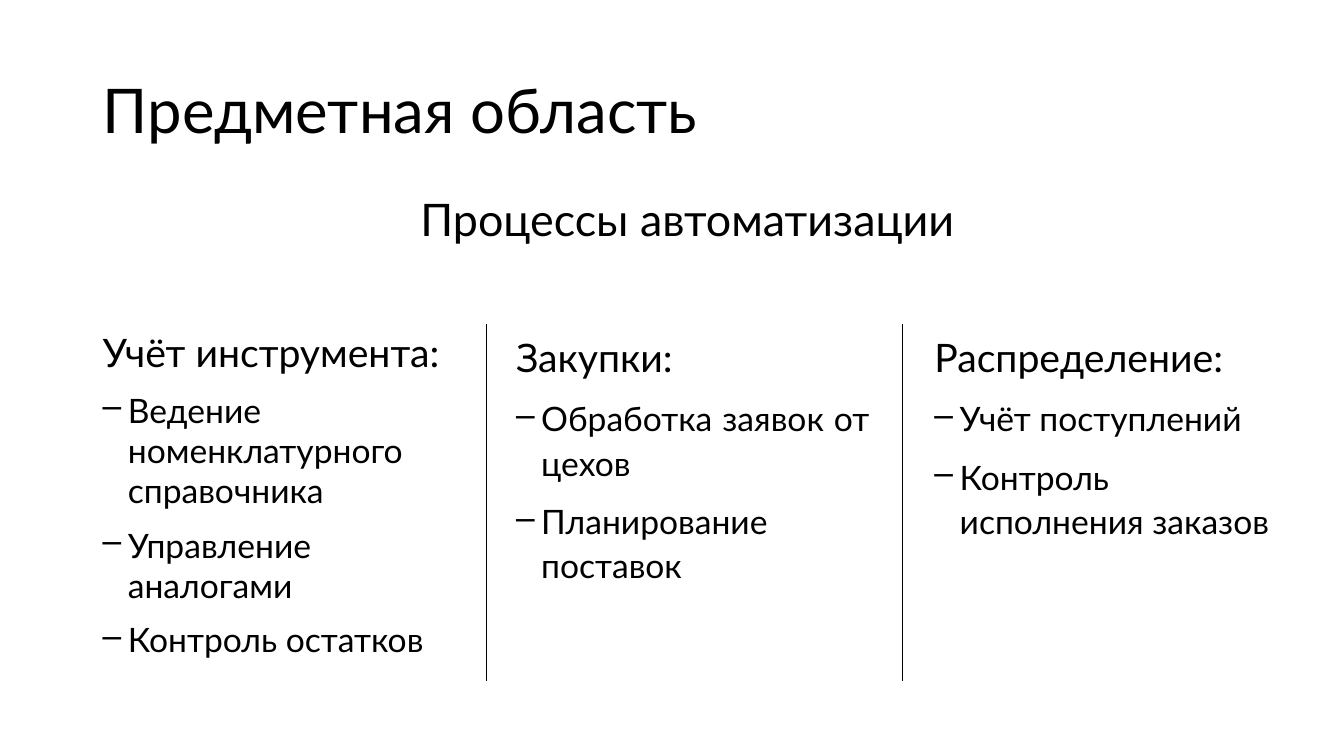
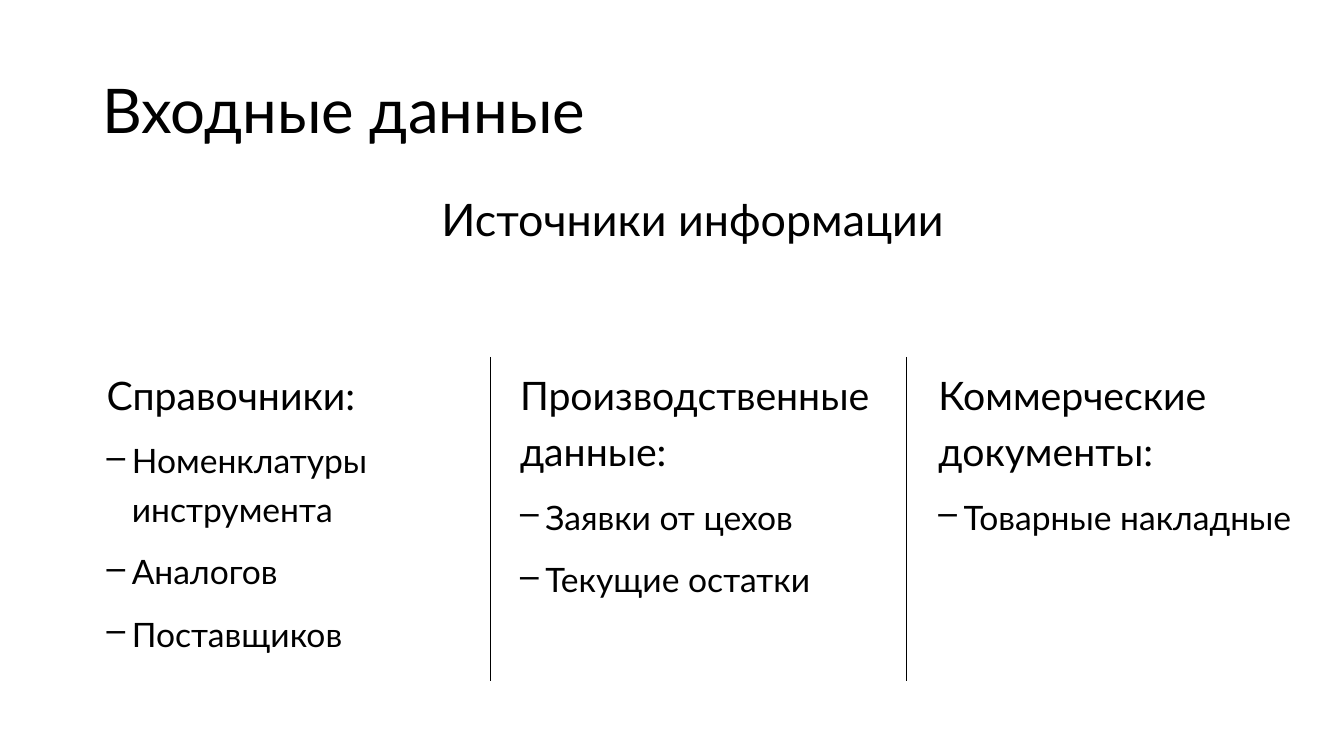
"""Build two three-column slides on the subject area and its input data."""
from lxml import etree
from pptx import Presentation
from pptx.dml.color import RGBColor
from pptx.enum.shapes import MSO_CONNECTOR
from pptx.enum.text import MSO_ANCHOR, MSO_AUTO_SIZE, PP_ALIGN
from pptx.oxml.ns import qn
from pptx.util import Inches, Pt

STRAIGHT = MSO_CONNECTOR.STRAIGHT
MIDDLE, TOP = MSO_ANCHOR.MIDDLE, MSO_ANCHOR.TOP
FIT_SHAPE = MSO_AUTO_SIZE.SHAPE_TO_FIT_TEXT
LEFT, JUSTIFY = PP_ALIGN.LEFT, PP_ALIGN.JUSTIFY

COLORS = {"background": "FFFFFF", "text": "000000", "divider": "000000"}
FONT = "Lato"
SIZES = {"title": 44, "subtitle": 32, "heading": 28, "item": 24}

SLIDES = [
    {
        "title": "Предметная область",
        "subtitle": ("Процессы автоматизации", 4.07, 5.59),
        "left": 0.92,
        "top": 3.21,
        "columns": [
            ("Учёт инструмента:", 1.0, [
                "Ведение номенклатурного справочника",
                "Управление аналогами",
                "Контроль остатков",
            ]),
            ("Закупки:", 1.1, ["Обработка заявок от цехов", "Планирование поставок"]),
            ("Распределение:", 1.1, ["Учёт поступлений", "Контроль исполнения заказов"]),
        ],
    },
    {
        "title": "Входные данные",
        "subtitle": ("Источники информации", 4.28, 5.23),
        "left": 0.96,
        "top": 3.54,
        "columns": [
            ("Справочники:", 1.2, ["Номенклатуры инструмента", "Аналогов", "Поставщиков"]),
            ("Производственные данные:", 1.2, ["Заявки от цехов", "Текущие остатки"]),
            ("Коммерческие документы:", 1.2, ["Товарные накладные"]),
        ],
    },
]

COLUMN_OFFSETS = (0, 4.1, 8.25)
DIVIDER_OFFSETS = (3.9, 8.03)
COLUMN_WIDTH = 3.7
BOTTOM = 6.76
BULLET_INDENT = 0.25


def add_text_frame(slide, left, top, width, height, anchor=TOP):
    box = slide.shapes.add_textbox(Inches(left), Inches(top), Inches(width), Inches(height))
    frame = box.text_frame
    frame.word_wrap = True
    frame.vertical_anchor = anchor
    return frame


def style_paragraph(paragraph, text, role, spacing=1.0, align=LEFT):
    paragraph.text = text
    paragraph.alignment = align
    paragraph.line_spacing = spacing
    paragraph.font.name = FONT
    paragraph.font.size = Pt(SIZES[role])
    paragraph.font.color.rgb = RGBColor.from_string(COLORS["text"])


def add_dash(paragraph):
    properties = paragraph._p.get_or_add_pPr()
    properties.set("marL", str(Inches(BULLET_INDENT)))
    properties.set("indent", str(-Inches(BULLET_INDENT)))
    bullet = etree.Element(qn("a:buChar"), char="–")
    properties.find(qn("a:defRPr")).addprevious(bullet)


def add_column(slide, left, top, heading, spacing, items):
    frame = add_text_frame(slide, left, top, COLUMN_WIDTH, BOTTOM - top)
    style_paragraph(frame.paragraphs[0], heading, "heading", spacing, JUSTIFY)
    for item in items:
        paragraph = frame.add_paragraph()
        style_paragraph(paragraph, item, "item", spacing, JUSTIFY)
        add_dash(paragraph)
    for paragraph in frame.paragraphs:
        paragraph.space_before = Pt(10)


def add_divider(slide, x, top):
    line = slide.shapes.add_connector(STRAIGHT, Inches(x), Inches(top), Inches(x), Inches(BOTTOM))
    line.line.color.rgb = RGBColor.from_string(COLORS["divider"])
    line.line.width = Pt(0.5)
    etree.SubElement(line._element.spPr, qn("a:effectLst"))


def add_slide(presentation, content):
    slide = presentation.slides.add_slide(presentation.slide_layouts[6])
    fill = slide.background.fill
    fill.solid()
    fill.fore_color.rgb = RGBColor.from_string(COLORS["background"])

    title = add_text_frame(slide, 0.92, 0.4, 11.5, 1.45, MIDDLE)
    style_paragraph(title.paragraphs[0], content["title"], "title", 0.9)

    text, subtitle_left, subtitle_width = content["subtitle"]
    subtitle = add_text_frame(slide, subtitle_left, 1.85, subtitle_width, 0.64)
    subtitle.word_wrap = False
    subtitle.auto_size = FIT_SHAPE
    style_paragraph(subtitle.paragraphs[0], text, "subtitle")

    left, top = content["left"], content["top"]
    for offset, column in zip(COLUMN_OFFSETS, content["columns"]):
        add_column(slide, left + offset, top, *column)
    for offset in DIVIDER_OFFSETS:
        add_divider(slide, left + offset, top)


def main():
    presentation = Presentation()
    presentation.slide_width = Inches(13.33)
    presentation.slide_height = Inches(7.5)
    for content in SLIDES:
        add_slide(presentation, content)
    presentation.save("out.pptx")


if __name__ == "__main__":
    main()
